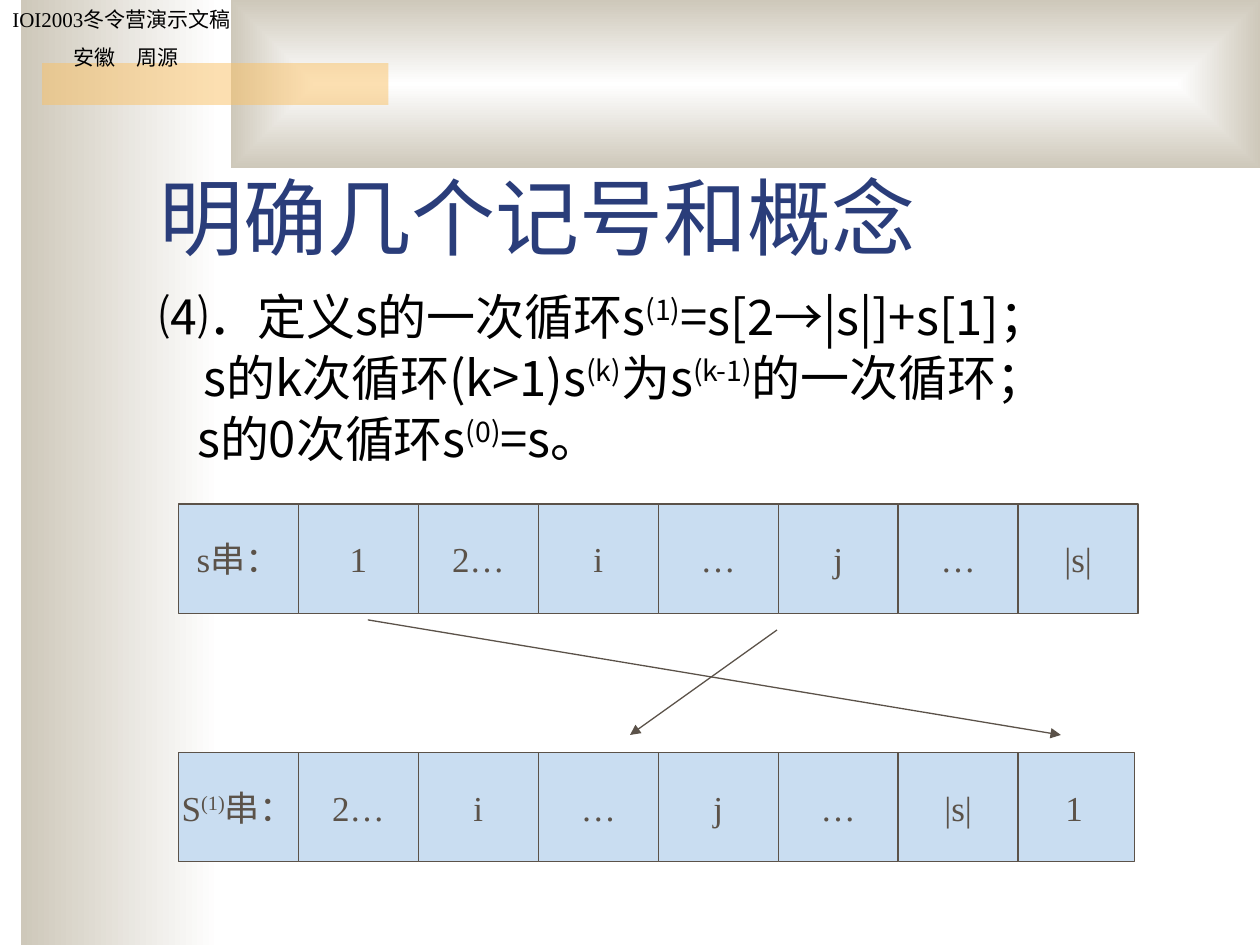
import dataclasses

import pptx
import pptx.dml.color
import pptx.enum.dml
import pptx.enum.shapes
import pptx.enum.text
import pptx.oxml
import pptx.oxml.ns
import pptx.util

ALIGN = pptx.enum.text.PP_ALIGN
ANCHOR = pptx.enum.text.MSO_ANCHOR
NAMESPACE = pptx.oxml.ns.nsdecls("a")


@dataclasses.dataclass(frozen=True)
class Theme:
    """Colours, fonts and type sizes of the deck."""

    paper: str = "FFFFFF"
    stone: str = "CEC8BA"
    accent: str = "FAC164"
    heading: str = "2A3D7A"
    text: str = "000000"
    cell: str = "C9DDF1"
    ink: str = "5B5249"
    serif: str = "Times New Roman"
    sans: str = "Noto Sans CJK SC"
    title_size: float = 48
    body_size: float = 28
    cell_size: float = 20
    credit_size: float = 12
    line_width: float = 0.75


class SlideBuilder:
    """Draws styled elements on one slide, placed in shares of its size."""

    def __init__(self, presentation, theme):
        """Add a title-only slide and keep its style."""
        self.theme = theme
        self.width = presentation.slide_width
        self.height = presentation.slide_height
        self.slide = presentation.slides.add_slide(presentation.slide_layouts[5])
        self.shapes = self.slide.shapes

    def place(self, left, top, width, height):
        """Turn shares of the slide into lengths."""
        return (round(left * self.width), round(top * self.height),
                round(width * self.width), round(height * self.height))

    def assign(self, target, values):
        """Set every attribute named in the format values."""
        for name, value in values.items():
            setattr(target, name, value)

    def colour(self, value):
        """Make a colour from its hex text."""
        return pptx.dml.color.RGBColor.from_string(value)

    def frame(self, text_frame, **values):
        """Format a text frame."""
        self.assign(text_frame, {
            "margin_left": pptx.util.Inches(0.1), "margin_right": pptx.util.Inches(0.1),
            "margin_top": pptx.util.Inches(0.05), "margin_bottom": pptx.util.Inches(0.05),
            "auto_size": pptx.enum.text.MSO_AUTO_SIZE.NONE, "word_wrap": True, **values})

    def add_runs(self, paragraph, text, size, font, colour, **values):
        """Add runs in which parts between carets are superscript."""
        self.assign(paragraph, values)
        for position, part in enumerate(text.split("^")):
            run = paragraph.add_run()
            run.text = part
            self.assign(run.font, {"size": pptx.util.Pt(size), "name": font, "bold": False})
            run.font.color.rgb = self.colour(colour)
            properties = run._r.get_or_add_rPr()
            properties.append(pptx.oxml.parse_xml(
                f'<a:ea {NAMESPACE} typeface="{self.theme.sans}"/>'))
            if position % 2:
                properties.set("baseline", "30000")

    def rectangle(self, box):
        """Add a plain rectangle without shadow."""
        shape = self.shapes.add_shape(pptx.enum.shapes.MSO_SHAPE.RECTANGLE, *self.place(*box))
        shape.shadow.inherit = False
        shape.line.fill.background()
        return shape

    def gradient(self, box, framed=False):
        """Add a panel fading from paper to stone."""
        shape = self.rectangle(box)
        shape.fill.gradient()
        shape.fill.gradient_angle = 180
        stops = zip(shape.fill.gradient_stops, (self.theme.paper, self.theme.stone), (0, 1))
        for stop, colour, position in stops:
            stop.color.rgb = self.colour(colour)
            stop.position = position
        if framed:
            linear = shape.element.spPr.find(".//" + pptx.oxml.ns.qn("a:lin"))
            linear.getparent().replace(linear, pptx.oxml.parse_xml(
                f'<a:path {NAMESPACE} path="rect">'
                '<a:fillToRect l="50000" t="50000" r="50000" b="50000"/></a:path>'))

    def band(self, box):
        """Add the half-transparent accent band."""
        shape = self.rectangle(box)
        shape.fill.solid()
        shape.fill.fore_color.rgb = self.colour(self.theme.accent)
        shape.element.spPr.find(".//" + pptx.oxml.ns.qn("a:srgbClr")).append(
            pptx.oxml.parse_xml(f'<a:alpha {NAMESPACE} val="50000"/>'))

    def title(self, box, text):
        """Move, format and fill the title placeholder."""
        title = self.shapes.title
        title.element.getparent().append(title.element)
        names = ("left", "top", "width", "height")
        self.assign(title, dict(zip(names, self.place(*box))))
        self.frame(title.text_frame, vertical_anchor=ANCHOR.BOTTOM)
        self.add_runs(title.text_frame.paragraphs[0], text, self.theme.title_size,
                      self.theme.serif, self.theme.heading, alignment=ALIGN.LEFT)

    def text(self, box, lines, size, font, **values):
        """Add a text box of (text, alignment, left indent, first indent) lines."""
        text_frame = self.shapes.add_textbox(*self.place(*box)).text_frame
        self.frame(text_frame)
        for index, (text, alignment, indent, first) in enumerate(lines):
            paragraph = text_frame.add_paragraph() if index else text_frame.paragraphs[0]
            self.add_runs(paragraph, text, size, font, self.theme.text,
                          alignment=alignment, **values)
            properties = paragraph._p.get_or_add_pPr()
            properties.set("marL", str(pptx.util.Inches(indent)))
            properties.set("indent", str(pptx.util.Inches(first)))

    def cell(self, box, text):
        """Add one outlined cell of a string."""
        shape = self.rectangle(box)
        shape.fill.solid()
        shape.fill.fore_color.rgb = self.colour(self.theme.cell)
        shape.line.color.rgb = self.colour(self.theme.ink)
        shape.line.width = pptx.util.Pt(self.theme.line_width)
        self.frame(shape.text_frame, word_wrap=False, vertical_anchor=ANCHOR.MIDDLE)
        self.add_runs(shape.text_frame.paragraphs[0], text, self.theme.cell_size,
                      self.theme.serif, self.theme.ink, alignment=ALIGN.CENTER)

    def row(self, left, top, width, height, texts):
        """Add a row of equal cells side by side."""
        for column, text in enumerate(texts):
            self.cell((left + column * width, top, width, height), text)

    def arrow(self, start, end):
        """Add a straight arrow between two points."""
        connector = self.shapes.add_connector(
            pptx.enum.shapes.MSO_CONNECTOR.STRAIGHT, *self.place(*start, *end))
        connector.line.color.rgb = self.colour(self.theme.ink)
        connector.line.width = pptx.util.Pt(self.theme.line_width)
        connector.line._get_or_add_ln().append(
            pptx.oxml.parse_xml(f'<a:tailEnd {NAMESPACE} type="triangle"/>'))
        connector.element.spPr.append(pptx.oxml.parse_xml(f"<a:effectLst {NAMESPACE}/>"))


def main():
    """Build the slide on cyclic shifts of a string."""
    presentation = pptx.Presentation()
    presentation.slide_width = pptx.util.Inches(10)
    presentation.slide_height = pptx.util.Inches(7.5)
    theme = Theme()
    builder = SlideBuilder(presentation, theme)

    builder.gradient((1 / 60, 0, 0.158, 1))
    builder.gradient((11 / 60, 0, 49 / 60, 8 / 45), framed=True)
    builder.band((1 / 30, 1 / 15, 0.275, 2 / 45))
    builder.text((0, 0, 0.2, 0.08),
                 [("IOI2003冬令营演示文稿", ALIGN.LEFT, 0, 0),
                  ("安徽　周源", ALIGN.CENTER, 0, 0)],
                 theme.credit_size, theme.serif, space_before=pptx.util.Pt(7.5))
    builder.title((7 / 60, 11 / 90, 0.85, 1 / 6), "明确几个记号和概念")
    builder.text((7 / 60, 0.307, 0.833, 0.239),
                 [("⑷．定义s的一次循环s^(1)^=s[2→|s|]+s[1]；", ALIGN.JUSTIFY, 0.5, -0.5),
                  ("s的k次循环(k>1)s^(k)^为s^(k-1)^的一次循环；", ALIGN.JUSTIFY, 0.35, 0),
                  ("s的0次循环s^(0)^=s。", ALIGN.JUSTIFY, 0.3, 0)],
                 theme.body_size, theme.sans, space_before=pptx.util.Pt(7), line_spacing=0.83)

    left, width, height = 17 / 120, 0.0952, 0.116
    builder.row(left, 8 / 15, width, height, ["s串：", "1", "2…", "i", "…", "j", "…", "|s|"])
    lower = 0.796
    builder.cell((0.805, lower, width, height), "1")
    builder.row(left, lower, width, height, ["S^(1)^串：", "2…", "i", "…", "j", "…", "|s|"])
    builder.arrow((0.292, 0.656), (0.842, 7 / 9))
    builder.arrow((37 / 60, 2 / 3), (0.5, 7 / 9))
    presentation.save("out.pptx")


if __name__ == "__main__":
    main()
